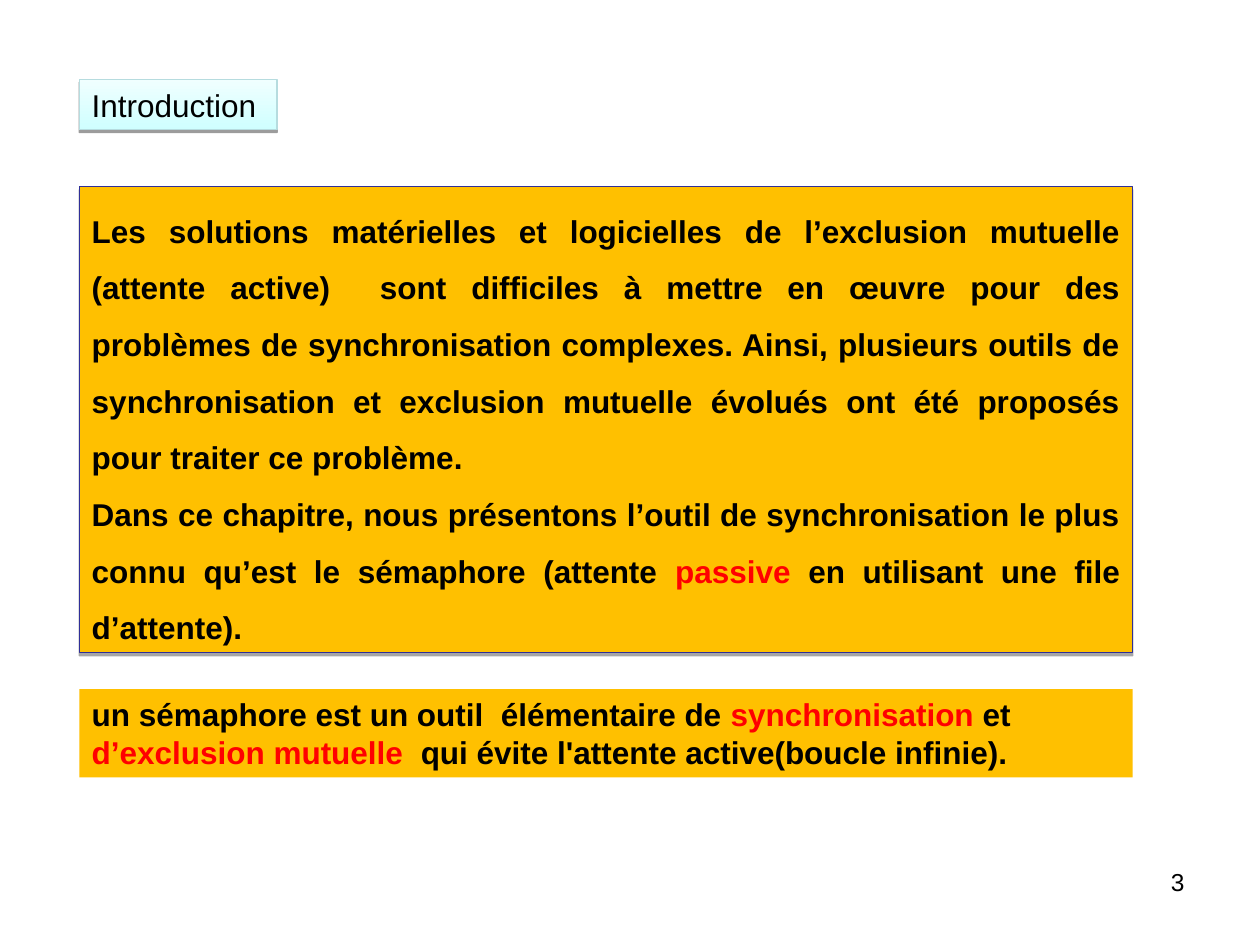
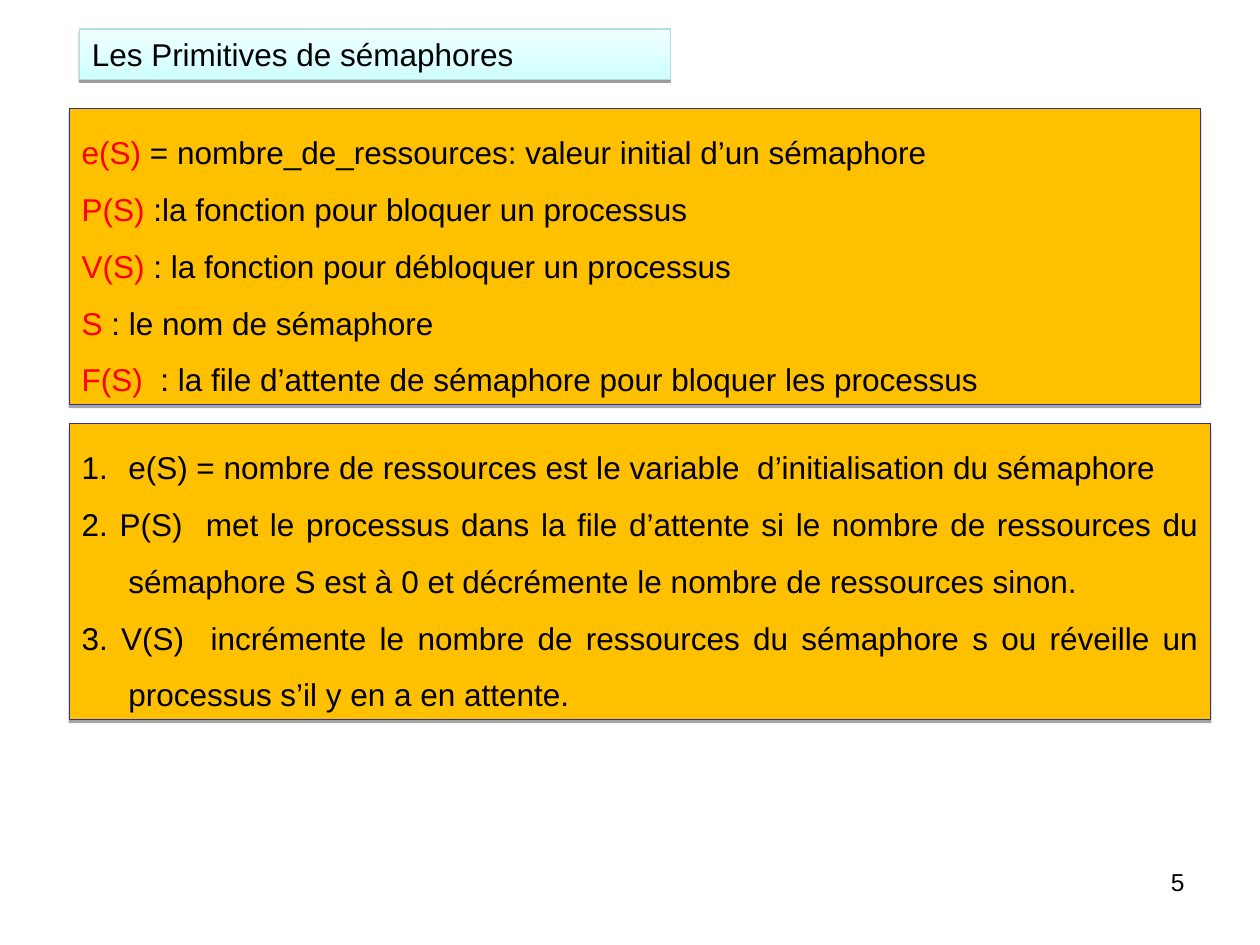
from dataclasses import dataclass

from lxml.etree import SubElement
from pptx import Presentation
from pptx.dml.color import RGBColor
from pptx.enum.shapes import MSO_SHAPE
from pptx.enum.text import MSO_ANCHOR, PP_ALIGN
from pptx.oxml.ns import qn
from pptx.shapes.autoshape import Shape
from pptx.slide import Slide
from pptx.util import Inches, Length, Pt


@dataclass(frozen=True)
class Theme:
    font: str = "Arial"
    body_size: Length = Pt(18)
    number_size: Length = Pt(14)
    text: RGBColor = RGBColor(0x00, 0x00, 0x00)
    accent: RGBColor = RGBColor(0xFF, 0x00, 0x00)
    panel: RGBColor = RGBColor(0xFF, 0xC0, 0x00)
    panel_line: RGBColor = RGBColor(0x2F, 0x2F, 0x98)
    title_top: RGBColor = RGBColor(0xF0, 0xFF, 0xFF)
    title_bottom: RGBColor = RGBColor(0xCF, 0xFF, 0xFF)
    title_line: RGBColor = RGBColor(0xB6, 0xDC, 0xDF)
    line_width: Length = Pt(0.75)
    hanging_indent: Length = Inches(0.37)


THEME = Theme()


@dataclass(frozen=True)
class Box:
    left: float
    top: float
    width: float
    height: float

    def lengths(self) -> tuple[Length, ...]:
        return tuple(Inches(side) for side in (self.left, self.top, self.width, self.height))


@dataclass(frozen=True)
class TextRun:
    text: str
    accent: bool = False


@dataclass(frozen=True)
class TextParagraph:
    runs: tuple[TextRun, ...]
    hanging: bool = False
    numbered: bool = False


@dataclass(frozen=True)
class Panel:
    box: Box
    paragraphs: tuple[TextParagraph, ...]
    bold: bool = False
    justified: bool = False
    framed: bool = True
    line_spacing: float = 1.5


@dataclass(frozen=True)
class SlideContent:
    number: int
    title: str
    title_box: Box
    panels: tuple[Panel, ...]


NUMBER_BOX = Box(7.17, 6.83, 2.33, 0.52)


def plain(text: str, hanging: bool = False, numbered: bool = False) -> TextParagraph:
    return TextParagraph((TextRun(text),), hanging, numbered)


def definition(term: str, meaning: str) -> TextParagraph:
    return TextParagraph((TextRun(term, accent=True), TextRun(meaning)))


SLIDES = (
    SlideContent(3, "Introduction", Box(0.63, 0.63, 1.57, 0.4), (
        Panel(Box(0.63, 1.48, 8.36, 3.7), (
            plain("Les solutions matérielles et logicielles de l’exclusion mutuelle "
                  "(attente active)  sont difficiles à mettre en œuvre pour des problèmes "
                  "de synchronisation complexes. Ainsi, plusieurs outils de synchronisation "
                  "et exclusion mutuelle évolués ont été proposés pour traiter ce problème."),
            TextParagraph((
                TextRun("Dans ce chapitre, nous présentons l’outil de synchronisation le "
                        "plus connu qu’est le sémaphore (attente"),
                TextRun(" passive ", accent=True),
                TextRun("en utilisant une file d’attente)."),
            )),
        ), bold=True, justified=True),
        Panel(Box(0.63, 5.47, 8.36, 0.7), (
            TextParagraph((
                TextRun("un sémaphore est un outil  élémentaire de "),
                TextRun("synchronisation", accent=True),
                TextRun(" et "),
                TextRun("d’exclusion mutuelle  ", accent=True),
                TextRun("qui évite l'attente active(boucle infinie)."),
            )),
        ), bold=True, framed=False, line_spacing=1.0),
    )),
    SlideContent(5, "Les Primitives de sémaphores", Box(0.63, 0.23, 4.69, 0.4), (
        Panel(Box(0.55, 0.86, 8.98, 2.35), (
            definition("e(S) ", "= nombre_de_ressources: valeur initial d’un sémaphore"),
            definition("P(S)", " :la fonction pour bloquer un processus"),
            definition("V(S)", " : la fonction pour débloquer un processus"),
            definition("S", " : le nom de sémaphore"),
            definition("F(S)", "  : la file d’attente de sémaphore pour bloquer les processus"),
        )),
        Panel(Box(0.55, 3.36, 9.06, 2.35), (
            plain("e(S) = nombre de ressources est le variable  d’initialisation du sémaphore",
                  hanging=True, numbered=True),
            plain("2. P(S)  met le processus dans la file d’attente si le nombre de ressources "
                  "du sémaphore S est à 0 et décrémente le nombre de ressources sinon.",
                  hanging=True),
            plain("3. V(S)  incrémente le nombre de ressources du sémaphore s ou réveille un "
                  "processus s’il y en a en attente.", hanging=True),
        ), justified=True),
    )),
)


def add_rectangle(slide: Slide, box: Box) -> Shape:
    shape = slide.shapes.add_shape(MSO_SHAPE.RECTANGLE, *box.lengths())
    shape.shadow.inherit = False
    shape.text_frame.word_wrap = True
    shape.text_frame.vertical_anchor = MSO_ANCHOR.TOP
    return shape


def add_frame(shape: Shape, color: RGBColor, distance: float, opacity: int) -> None:
    """Outline the shape and drop a hard shadow straight below it."""
    shape.line.color.rgb = color
    shape.line.width = THEME.line_width
    effects = shape._element.spPr.find(qn("a:effectLst"))
    shadow = SubElement(effects, qn("a:outerShdw"), blurRad="0", dist=str(Pt(distance)),
                        dir="5400000", rotWithShape="0")
    shadow_color = SubElement(shadow, qn("a:srgbClr"), val=str(THEME.text))
    SubElement(shadow_color, qn("a:alpha"), val=str(opacity * 1000))


def write_paragraphs(shape: Shape, paragraphs: tuple[TextParagraph, ...],
                     alignment: PP_ALIGN = PP_ALIGN.LEFT, size: Length = THEME.body_size,
                     bold: bool = False, line_spacing: float = 1.0) -> None:
    frame = shape.text_frame
    for index, content in enumerate(paragraphs):
        paragraph = frame.add_paragraph() if index else frame.paragraphs[0]
        paragraph.alignment = alignment
        paragraph.line_spacing = line_spacing
        properties = paragraph._p.get_or_add_pPr()
        if content.hanging:
            properties.set("marL", str(THEME.hanging_indent))
            properties.set("indent", str(-THEME.hanging_indent))
        if content.numbered:
            SubElement(properties, qn("a:buAutoNum"), type="arabicPeriod")
        for text_run in content.runs:
            run = paragraph.add_run()
            run.text = text_run.text
            run.font.name = THEME.font
            run.font.size = size
            run.font.bold = bold
            run.font.color.rgb = THEME.accent if text_run.accent else THEME.text


def add_title(slide: Slide, title: str, box: Box) -> None:
    shape = add_rectangle(slide, box)
    shape.fill.gradient()
    shape.fill.gradient_angle = 270
    for stop, color in zip(shape.fill.gradient_stops, (THEME.title_top, THEME.title_bottom)):
        stop.color.rgb = color
    add_frame(shape, THEME.title_line, distance=1.6, opacity=38)
    write_paragraphs(shape, (plain(title),))


def add_panel(slide: Slide, panel: Panel) -> None:
    shape = add_rectangle(slide, panel.box)
    shape.fill.solid()
    shape.fill.fore_color.rgb = THEME.panel
    if panel.framed:
        add_frame(shape, THEME.panel_line, distance=1.8, opacity=35)
    else:
        shape.line.fill.background()
    alignment = PP_ALIGN.JUSTIFY if panel.justified else PP_ALIGN.LEFT
    write_paragraphs(shape, panel.paragraphs, alignment, bold=panel.bold,
                     line_spacing=panel.line_spacing)


def add_slide_number(slide: Slide, number: int) -> None:
    text_box = slide.shapes.add_textbox(*NUMBER_BOX.lengths())
    text_box.text_frame.word_wrap = True
    write_paragraphs(text_box, (plain(str(number)),), PP_ALIGN.RIGHT, THEME.number_size)


def main() -> None:
    presentation = Presentation()
    presentation.slide_width = Inches(10)
    presentation.slide_height = Inches(7.5)
    blank_layout = presentation.slide_layouts[6]
    for content in SLIDES:
        slide = presentation.slides.add_slide(blank_layout)
        add_slide_number(slide, content.number)
        add_title(slide, content.title, content.title_box)
        for panel in content.panels:
            add_panel(slide, panel)
    presentation.save("out.pptx")


if __name__ == "__main__":
    main()
